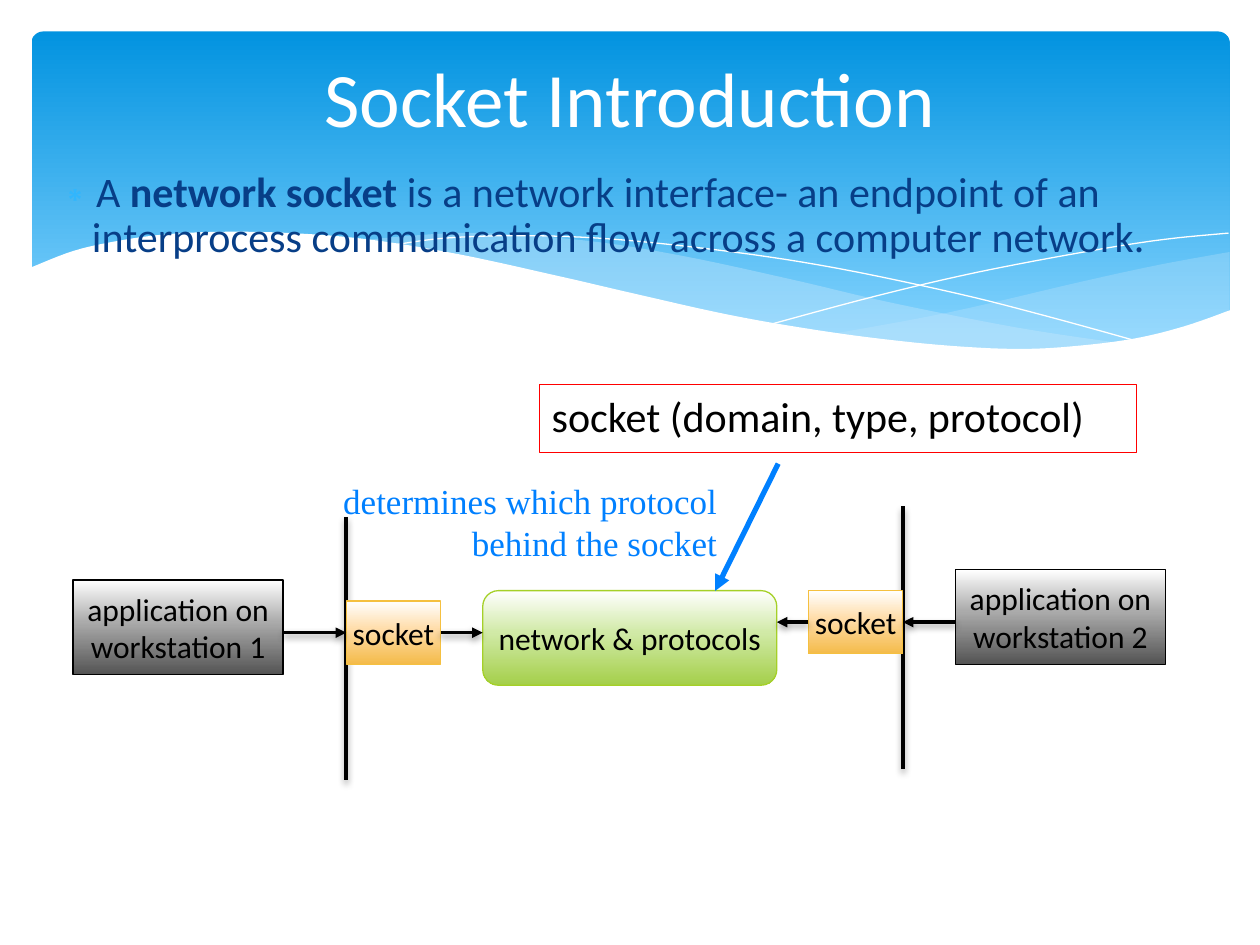
import copy

import lxml.etree
import pptx
import pptx.dml.color
import pptx.enum.shapes
import pptx.enum.text
import pptx.oxml
import pptx.oxml.ns
import pptx.util

COLORS = {
    "white": "FFFFFF", "black": "000000", "sky": "0293E0", "pale": "83D3FE",
    "mist": "C6E7FC", "navy": "073E87", "bullet": "31B6FD", "red": "FF0000",
    "blue": "0080FF", "amber": "F5C040", "lime": "A5D028",
}
GRADIENTS = {
    "banner": [(0, COLORS["sky"]), (0.9, COLORS["pale"])],
    "gray": [(0, COLORS["white"]), (0.44, "ABABAB"), (1, "545454")],
    "amber": [(0, COLORS["white"]), (0.44, "FFDDAA"), (1, "F4BB4A")],
    "lime": [(0, COLORS["white"]), (0.44, "D1EAA7"), (1, "A4CF4A")],
}
SHAPES = pptx.enum.shapes.MSO_SHAPE
ALIGN = pptx.enum.text.PP_ALIGN
ANCHOR = pptx.enum.text.MSO_ANCHOR
INCH = pptx.util.Inches


def rgb(name):
    """Return the named colour."""
    return pptx.dml.color.RGBColor.from_string(COLORS.get(name, name))


def child(parent, tag, **attributes):
    """Append a DrawingML element to its parent."""
    element = lxml.etree.SubElement(parent, pptx.oxml.ns.qn(tag))
    for key, value in attributes.items():
        element.set(key, str(value))
    return element


def style_font(font, size, color, name="Calibri"):
    """Set the face, size and colour of a font."""
    font.name, font.size = name, pptx.util.Pt(size)
    font.color.rgb = rgb(color)


def outline(shape, color, width):
    """Give a shape a plain outline."""
    shape.line.color.rgb = rgb(color)
    shape.line.width = pptx.util.Pt(width)


def fill_gradient(shape, stops):
    """Fill a shape from top to bottom through the given stops."""
    shape.fill.gradient()
    shape.fill.gradient_angle = 270
    stop_list = shape._element.spPr.find(".//" + pptx.oxml.ns.qn("a:gsLst"))
    for _ in stops[2:]:
        stop_list.append(copy.deepcopy(stop_list[0]))
    for stop, (position, color) in zip(shape.fill.gradient_stops, stops):
        stop.position = position
        stop.color.rgb = rgb(color)


def add_box(page, kind, box, text="", size=18, align=ALIGN.CENTER):
    """Add an unshadowed shape with black text."""
    shape = page.shapes.add_shape(kind, *map(INCH, box))
    shape.shadow.inherit = False
    frame = shape.text_frame
    frame.text, frame.word_wrap = text, False
    frame.vertical_anchor = ANCHOR.MIDDLE
    for para in frame.paragraphs:
        para.alignment = align
        style_font(para.font, size, "black")
    return shape


def add_line(page, start, end, color="black", width=2, arrow=False, shadow=True):
    """Add a straight line, optionally with an arrowhead and a soft shadow."""
    line = page.shapes.add_connector(
        pptx.enum.shapes.MSO_CONNECTOR.STRAIGHT, *map(INCH, (*start, *end)))
    outline(line, color, width)
    if arrow:
        child(line.line._get_or_add_ln(), "a:tailEnd", type="triangle")
    effects = child(line._element.spPr, "a:effectLst")
    if shadow:
        outer = child(effects, "a:outerShdw", blurRad=50800, dist=25400,
                      dir=5400000, rotWithShape=0)
        child(child(outer, "a:srgbClr", val=COLORS["black"]), "a:alpha", val=38000)
    return line


def smooth(points, steps=6):
    """Run a Catmull-Rom curve through the points."""
    padded = [points[0], *points, points[-1]]
    curve = [points[0]]
    for a, b, c, d in zip(padded, padded[1:], padded[2:], padded[3:]):
        for step in range(1, steps + 1):
            t = step / steps
            curve.append(tuple(
                0.5 * (2 * q + (r - p) * t + (2 * p - 5 * q + 4 * r - s) * t ** 2
                       + (3 * q - p - 3 * r + s) * t ** 3)
                for p, q, r, s in zip(a, b, c, d)))
    return curve


def add_wave(page, points, closed=True, opacity=100):
    """Draw a filled wave or, if open, a white hairline."""
    builder = page.shapes.build_freeform(
        *map(round, (INCH(points[0][0]), INCH(points[0][1]))))
    builder.add_line_segments([(INCH(x), INCH(y)) for x, y in points[1:]], close=closed)
    wave = builder.convert_to_shape()
    wave.shadow.inherit = False
    if not closed:
        wave.fill.background()
        outline(wave, "white", 0)
        return
    wave.fill.solid()
    wave.fill.fore_color.rgb = rgb("white" if opacity == 100 else "mist")
    wave.line.fill.background()
    if opacity < 100:
        color = wave._element.spPr.find(".//" + pptx.oxml.ns.qn("a:srgbClr"))
        child(color, "a:alpha", val=opacity * 1000)


def add_banner(page, box):
    """Draw the blue banner and the waves along its lower edge."""
    banner = add_box(page, SHAPES.ROUNDED_RECTANGLE, box)
    banner.adjustments[0] = 0.034
    fill_gradient(banner, GRADIENTS["banner"])
    banner.line.fill.background()
    left, top, width, height = box
    right, base = left + width, top + height + 0.34
    add_wave(page, smooth([(right, 2), (9.21, 2.1), (8.61, 2.23), (7.53, 2.48), (6.61, 2.65)])
             + smooth([(6.61, 2.65), (7.19, 2.72), (7.69, 2.77), (8.14, 2.78), (8.63, 2.75),
                       (9.13, 2.67), (9.49, 2.57), (right, 2.47)]), opacity=29)
    add_wave(page, smooth([(8.93, 2.73), (8.07, 2.6), (7.06, 2.4), (6.29, 2.22), (5.41, 2.03),
                           (4.65, 1.91), (3.8, 1.85), (3.28, 1.87), (2.86, 1.91)])
             + smooth([(2.86, 1.91), (3.62, 2.03), (4.49, 2.22), (5.66, 2.48), (6.5, 2.64),
                       (7.22, 2.74), (7.85, 2.78), (8.38, 2.78), (8.93, 2.73)]), opacity=40)
    add_wave(page, smooth([(3.09, 1.95), (3.53, 1.89), (4.16, 1.87), (4.89, 1.9), (5.82, 2),
                           (6.65, 2.13), (7.6, 2.33), (8.31, 2.51), (9.07, 2.72)]), closed=False)
    add_wave(page, smooth([(6.13, 2.57), (6.95, 2.35), (7.76, 2.16), (8.66, 1.99),
                           (9.24, 1.9), (9.75, 1.85)]), closed=False)
    edge = [(9.77, 2.46), (9.4, 2.59), (8.99, 2.69), (8.5, 2.75), (8.09, 2.77), (7.61, 2.75),
            (7.08, 2.7), (6.48, 2.62), (5.79, 2.5), (5.03, 2.33), (4.47, 2.2), (3.65, 2.02),
            (2.92, 1.9), (2.3, 1.85), (1.77, 1.84), (1.32, 1.86), (0.95, 1.91), (0.59, 1.99),
            (0.23, 2.13)]
    add_wave(page, smooth(edge) + [(0.23, base), (9.77, base)])


def place_text(holder, box):
    """Bring a placeholder forward into the given box."""
    holder._element.getparent().append(holder._element)
    holder.left, holder.top, holder.width, holder.height = map(INCH, box)
    holder.text_frame.auto_size = pptx.enum.text.MSO_AUTO_SIZE.NONE
    return holder.text_frame.paragraphs[0]


def add_body(holder, box):
    """Write the bulleted definition."""
    para = place_text(holder, box)
    for text, bold in (("A ", False), ("network socket ", True),
                       ("is a network interface- an endpoint of an interprocess "
                        "communication flow across a computer network.", False)):
        span = para.add_run()
        span.text, span.font.bold = text, bold
    style_font(para.font, 24, "navy")
    para.line_spacing, para.space_before = 0.9, pptx.util.Pt(4.8)
    settings = para._p.get_or_add_pPr()
    settings.set("marL", str(INCH(0.3)))
    settings.set("indent", str(INCH(-0.3)))
    bullet = pptx.oxml.parse_xml(
        f'<a:buClr {pptx.oxml.ns.nsdecls("a")}><a:srgbClr val="{COLORS["bullet"]}"/></a:buClr>')
    mark = pptx.oxml.parse_xml(f'<a:buChar {pptx.oxml.ns.nsdecls("a")} char="∗"/>')
    defaults = settings.find(pptx.oxml.ns.qn("a:defRPr"))
    for element in (bullet, mark):
        defaults.addprevious(element)


def add_title(holder, box):
    """Write the white centred title."""
    para = place_text(holder, box)
    para.text, para.alignment = "Socket Introduction", ALIGN.CENTER
    holder.text_frame.vertical_anchor = ANCHOR.MIDDLE
    style_font(para.font, 44, "white")


def add_diagram(page, box):
    """Draw both workstations joined by sockets, on 104 columns and 26 rows."""
    left, top, width, height = box

    def at(column, row):
        return left + column * width / 104, top + row * height / 26

    def node(column, row, columns, rows, text, gradient, line, kind=SHAPES.RECTANGLE):
        size = (columns * width / 104, rows * height / 26)
        shape = add_box(page, kind, (*at(column, row), *size), text)
        fill_gradient(shape, GRADIENTS[gradient])
        outline(shape, line, 0.75)

        return shape

    node(39, 8, 28, 9, "network & protocols", "lime", "lime", SHAPES.ROUNDED_RECTANGLE)
    sides = ((1, 1, 0, 26, 26, 20, 35, 39, 1, 3), (2, 0, 84, 79, 70, 84, 70, 67, 3, 1))
    for number, drop, station, barrier, socket, start, exit_, end, outer, inner in sides:
        node(station, 6 + drop, 20, 9, f"application on\nworkstation {number}", "gray", "black")
        add_line(page, at(barrier, drop), at(barrier, 25 + drop))
        plug = node(socket, 8 + drop, 9, 6, "socket", "amber", "amber")
        middle = 11 + drop
        incoming = add_line(page, at(start, middle), at(barrier, middle), arrow=True)
        incoming.end_connect(plug, outer)
        outgoing = add_line(page, at(exit_, middle), at(end, middle), arrow=True)
        outgoing.begin_connect(plug, inner)


def add_call(page, box):
    """Show the socket call and the note on its protocol argument."""
    left, top, width, height = box
    call = add_box(page, SHAPES.RECTANGLE, box, "socket (domain, type, protocol)", 24, ALIGN.LEFT)
    call.fill.background()
    outline(call, "red", 0.75)
    call.text_frame.word_wrap = True
    call.text_frame.vertical_anchor = ANCHOR.TOP
    call.text_frame.paragraphs[0].space_before = pptx.util.Pt(4.8)
    tail = left + 0.4 * width
    add_line(page, (tail, top + 0.63), (tail - 0.5, top + 1.64), "blue", 3, True, False)
    note = page.shapes.add_textbox(*map(INCH, (left - 2.1, top + 0.71, 3.61, 0.77)))
    note.text_frame.word_wrap = True
    para = note.text_frame.paragraphs[0]
    para.text, para.alignment = "determines which protocol behind the socket", ALIGN.RIGHT
    style_font(para.font, 20, "blue", "Times New Roman")


def main():
    """Build the slide and save the deck."""
    deck = pptx.Presentation()
    deck.slide_width, deck.slide_height = INCH(10), INCH(7.5)
    page = deck.slides.add_slide(deck.slide_layouts[1])
    add_banner(page, (0.25, 0.25, 9.51, 2.7))
    add_body(page.placeholders[1], (0.33, 1.31, 9.55, 4.88))
    add_title(page.shapes.title, (1, 0.29, 8, 0.95))
    add_diagram(page, (0.58, 4.02, 8.67, 2.17))
    add_call(page, (4.28, 3.05, 4.74, 0.54))
    deck.save("out.pptx")


if __name__ == "__main__":
    main()
